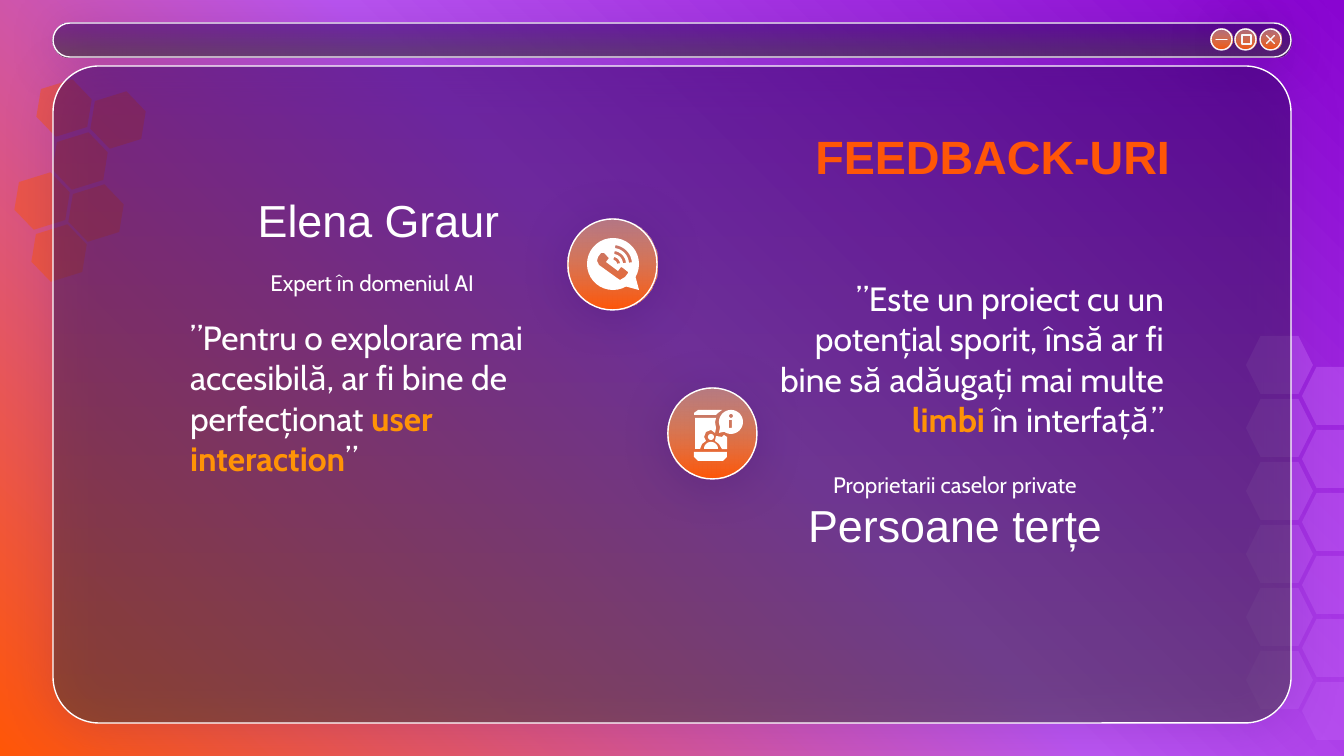
import math
import pptx
import pptx.util
import pptx.dml.color
import pptx.enum.shapes
import pptx.enum.text
import pptx.oxml
import pptx.oxml.ns

PX = 9144000 / 1344
SHAPE = pptx.enum.shapes.MSO_SHAPE
ALIGN = pptx.enum.text.PP_ALIGN
ANCHOR = pptx.enum.text.MSO_ANCHOR
WHITE, ORANGE, AMBER, VIOLET = "FFFFFF", "FF5607", "FF9306", "BA55F1"

# Content: box, anchor, alignment, left inset, paragraphs.
# A paragraph is (font, size, bold, color, runs); a run is (text, overrides).
ACCENT = {"bold": True, "color": AMBER}
TEXTS = [
    ((46, 112, 1137, 85), ANCHOR.BOTTOM, ALIGN.RIGHT, 13, [
        ("Arial", 25, True, ORANGE, [("FEEDBACK-URI", {})])]),
    ((173, 251, 411, 62), ANCHOR.BOTTOM, ALIGN.CENTER, 13, [
        ("Arial", 24, False, WHITE, [("Elena Graur", {})]),
        ("Cabin", 12, False, WHITE, [("Expert în domeniul AI", {}),
                                     (" ", {"name": "Arial", "size": 24})])]),
    ((177, 304, 411, 242), ANCHOR.TOP, ALIGN.LEFT, 13, [
        ("Cabin", 18, False, WHITE, [
            ("”Pentru o explorare mai accesibilă, ar fi bine de perfecționat ", {}),
            ("user interaction", ACCENT), ("”", {})])]),
    ((766, 265, 411, 83), ANCHOR.TOP, ALIGN.RIGHT, 13, [
        ("Cabin", 18, False, WHITE, [
            ("”Este un proiect cu un potențial sporit, însă ar fi bine să adăugați mai multe ", {}),
            ("limbi", ACCENT), (" în interfață.”", {})])]),
    ((694, 503, 499, 62), ANCHOR.BOTTOM, ALIGN.CENTER, 36, [
        ("Cabin", 12, False, WHITE, [("Proprietarii caselor private", {})]),
        ("Arial", 24, False, WHITE, [("Persoane terțe", {})])]),
]

# Gradient stops: position, color, opacity in percent
BACKDROP = [(0, ORANGE, 100), (52, VIOLET, 100), (100, "8905D1", 100)]
BAR_FILL = [(0, "340267", 52), (100, "3A3737", 61)]
PANEL_FILL = [(0, "340267", 49), (100, "3A3737", 49)]
BADGE_FILL = [(0, "FFC375", 51), (100, ORANGE, 100)]

LEFT_CELLS = [(30, 228), (67, 188), (13, 176), (51, 136), (89, 95), (35, 83)]
RIGHT_COLUMNS = [(1246, 336), (1302, 367)]
BUTTONS = [  # circle left, glyph, glyph box
    (1260, SHAPE.MATH_MULTIPLY, (1263, 32, 15, 15)),
    (1235, SHAPE.RECTANGLE, (1242, 35, 9, 9)),
    (1211, SHAPE.MATH_MINUS, (1214, 32, 15, 15)),
]
BADGES = [(568, 219, 89, 91), (668, 388, 89, 91)]


def arc(x, y, radius, start=0, end=360):
    steps = max(8, abs(end - start) // 10)
    angles = [math.radians(start + (end - start) * i / steps) for i in range(steps + 1)]
    return [(x + radius * math.cos(a), y + radius * math.sin(a)) for a in angles]


HANDSET = [(602, 253), (604, 253), (608, 257), (609, 258), (606, 262), (618, 271),
           (621, 267), (623, 268), (628, 272), (628, 273), (625, 277), (620, 280),
           (617, 278), (599, 265), (597, 261), (598, 257), (601, 253)]
WAVES = [arc(613, 264, r, -83, -5) + arc(613, 264, r - 3, -5, -83) for r in (19, 13, 7)]

# Each glyph is a list of contours; later contours cut holes in the first
GLYPHS = [
    [arc(613, 264, 26, 60, 390) + [(639, 290)], HANDSET] + WAVES,
    [arc(711, 449, 7, 180, 360)],
    [[(724, 435), (722, 437), (716, 436), (715, 441), (719, 444), (722, 449),
      (727, 449), (727, 437)]],
    [[(695, 418), (695, 449), (700, 449), (702, 444), (706, 441), (704, 437), (706, 432),
      (711, 430), (715, 433), (716, 428), (715, 422), (716, 418)]],
    [arc(711, 437, 3)],
    [arc(731, 422, 12, 155, 485) + [(719, 433)], arc(731, 416, 2),
     [(729, 420), (732, 420), (732, 428), (729, 428)]],
    [[(694, 452), (694, 457), (698, 461), (723, 461), (727, 457), (727, 452)]],
    [[(694, 415), (694, 413), (698, 410), (722, 410), (718, 413), (716, 415)]],
]


def emu(length):
    return pptx.util.Emu(round(length * PX))


def rgb(color):
    return pptx.dml.color.RGBColor.from_string(color)


def xml(tag, inner, attributes=""):
    space = pptx.oxml.ns.nsdecls("a")
    return pptx.oxml.parse_xml(f"<a:{tag} {space} {attributes}>{inner}</a:{tag}>")


def tint(color, opacity):
    return f'<a:srgbClr val="{color}"><a:alpha val="{opacity * 1000}"/></a:srgbClr>'


def paint(fill, parent, stops, direction='<a:lin ang="5400000" scaled="0"/>'):
    """Fill with a gradient, or with one translucent color for a single stop."""
    fill.background()
    if len(stops) == 1:
        new = xml("solidFill", tint(*stops[0][1:]))
    else:
        marks = "".join(f'<a:gs pos="{p * 1000}">{tint(c, o)}</a:gs>' for p, c, o in stops)
        new = xml("gradFill", f"<a:gsLst>{marks}</a:gsLst>{direction}", 'rotWithShape="1"')
    old = parent.find(pptx.oxml.ns.qn("a:noFill"))
    parent.replace(old, new)


def add_shape(kind, box, stops=None, outlined=True, glow=False, adjust=None):
    shape = slide.shapes.add_shape(kind, *map(emu, box))
    shape.shadow.inherit = False
    if adjust is not None:
        shape.adjustments[0] = adjust
    if stops:
        paint(shape.fill, shape._element.spPr, stops)
    else:
        shape.fill.background()
    if outlined:
        shape.line.color.rgb = rgb(WHITE)
        shape.line.width = pptx.util.Pt(0.75)
    else:
        shape.line.fill.background()
    if glow:
        effects = shape._element.spPr.find(pptx.oxml.ns.qn("a:effectLst"))
        effects.append(xml("outerShdw", tint("340267", 30),
                           'blurRad="342900" dist="19050" dir="5400000" algn="bl" rotWithShape="0"'))
    return shape


def add_glyph(contours):
    scaled = [[(x * PX, y * PX) for x, y in contour] for contour in contours]
    builder = slide.shapes.build_freeform(*scaled[0][0])
    builder.add_line_segments(scaled[0][1:], close=True)
    for contour in scaled[1:]:
        builder.move_to(*contour[0])
        builder.add_line_segments(contour[1:], close=True)
    glyph = builder.convert_to_shape()
    glyph.shadow.inherit = False
    glyph.fill.solid()
    glyph.fill.fore_color.rgb = rgb(WHITE)
    glyph.line.fill.background()


def style(font, name=None, size=None, bold=None, color=None):
    if name:
        font.name = name
    if size:
        font.size = pptx.util.Pt(size)
    if bold is not None:
        font.bold = bold
    if color:
        font.color.rgb = rgb(color)


def add_text(box, anchor, align, inset, paragraphs):
    frame = slide.shapes.add_textbox(*map(emu, box)).text_frame
    frame.word_wrap = True
    frame.vertical_anchor = anchor
    frame.margin_left = emu(inset)
    frame.margin_right = frame.margin_top = frame.margin_bottom = emu(13)
    for i, (name, size, bold, color, runs) in enumerate(paragraphs):
        para = frame.add_paragraph() if i else frame.paragraphs[0]
        para.alignment = align
        style(para.font, name, size, bold, color)
        for text, overrides in runs:
            span = para.add_run()
            span.text = text
            style(span.font, **overrides)


deck = pptx.Presentation()
deck.slide_width, deck.slide_height = emu(1344), emu(756)
slide = deck.slides.add_slide(deck.slide_layouts[6])

# Background glow from the bottom left corner
backdrop = slide.background.fill
backdrop.solid()
paint(backdrop, slide._element.cSld.bg.bgPr, BACKDROP,
      '<a:path path="circle"><a:fillToRect t="100000" r="100000"/></a:path><a:tileRect/>')

# Honeycombs
for left, top in LEFT_CELLS:
    cell = add_shape(SHAPE.HEXAGON, (left, top, 58, 50), [(0, ORANGE, 46)], outlined=False)
    cell.rotation = 162.7
for left, first_top in RIGHT_COLUMNS:
    for row in range(6):
        add_shape(SHAPE.HEXAGON, (left, first_top + 63 * row, 67, 58),
                  [(0, VIOLET, 60)], outlined=False)

# Window bar, buttons and panel
add_shape(SHAPE.ROUNDED_RECTANGLE, (53, 23, 1238, 34), BAR_FILL, glow=True, adjust=0.5)
for left, kind, box in BUTTONS:
    add_shape(SHAPE.OVAL, (left, 29, 21, 21), BADGE_FILL, glow=True)
    is_box = kind == SHAPE.RECTANGLE
    add_shape(kind, box, None if is_box else [(0, WHITE, 100)], adjust=None if is_box else 0)
add_shape(SHAPE.ROUNDED_RECTANGLE, (53, 66, 1238, 657), PANEL_FILL, glow=True, adjust=0.07)

# Texts
for text in TEXTS:
    add_text(*text)

# Badges and their glyphs
for box in BADGES:
    add_shape(SHAPE.ROUNDED_RECTANGLE, box, BADGE_FILL, glow=True, adjust=0.5)
for contours in GLYPHS:
    add_glyph(contours)

deck.save("out.pptx")
